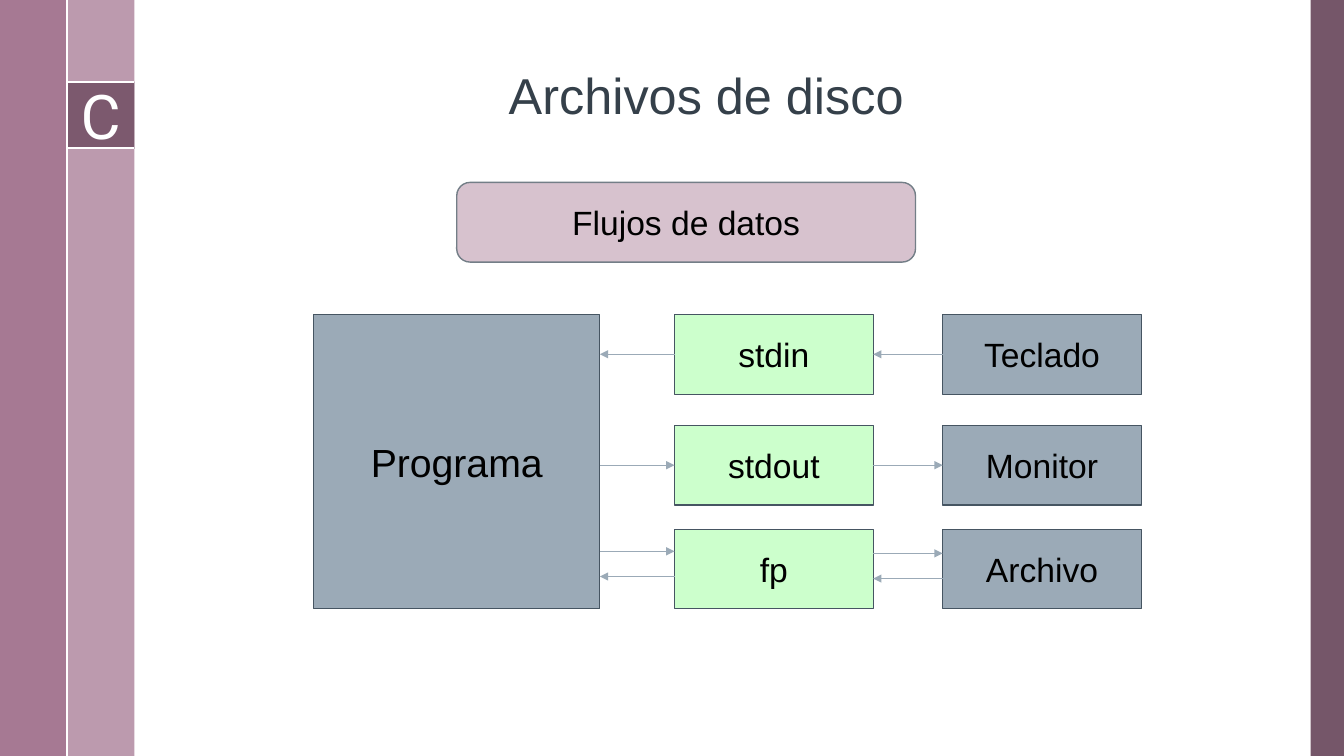
from lxml.etree import SubElement
from pptx import Presentation
from pptx.dml.color import RGBColor
from pptx.enum.shapes import MSO_CONNECTOR as Line, MSO_SHAPE as Preset
from pptx.enum.text import MSO_ANCHOR as Anchor, PP_ALIGN as Align
from pptx.oxml.ns import qn
from pptx.util import Inches, Pt


class Theme:
    black, white, title = "000000", "FFFFFF", "35404A"
    plum, mauve, rose = "674459", "9A6785", "BC9AAE"
    slate, slate_edge, mint = "9BAAB7", "465562", "CCFFCC"
    banner, banner_edge = "D7C2CE", "737E87"
    body_font, badge_font = "Arial", "Roboto"
    label_size, program_size, title_size, badge_size = 24, 28, 36, 44


deck = Presentation()
deck.slide_width, deck.slide_height = Inches(13.33), Inches(7.5)
page = deck.slides.add_slide(deck.slide_layouts[6])


def add_box(at, fill, text="", size=Theme.label_size, edge=None, edge_width=0.75,
            alpha=100, preset=Preset.RECTANGLE, font=Theme.body_font, color=Theme.black):
    """Add a filled shape with a centred label; alpha is its opacity in percent."""
    box = page.shapes.add_shape(preset, *map(Inches, at))
    box.shadow.inherit = False
    box.fill.solid()
    box.fill.fore_color.rgb = RGBColor.from_string(fill)
    if alpha < 100:
        tint = box.fill._xPr.find(qn("a:solidFill"))[0]
        SubElement(tint, qn("a:alpha"), val=str(alpha * 1000))
    if edge:
        box.line.color.rgb = RGBColor.from_string(edge)
        box.line.width = Pt(edge_width)
    else:
        box.line.fill.background()
    if text:
        box.text_frame.word_wrap = False
        box.text_frame.vertical_anchor = Anchor.MIDDLE
        para = box.text_frame.paragraphs[0]
        para.text, para.alignment = text, Align.CENTER
        para.font.name, para.font.size = font, Pt(size)
        para.font.color.rgb = RGBColor.from_string(color)
    return box


def add_line(start, end, color, width, arrow=False):
    line = page.shapes.add_connector(Line.STRAIGHT, *map(Inches, (*start, *end)))
    line.line.color.rgb = RGBColor.from_string(color)
    line.line.width = Pt(width)
    if arrow:
        SubElement(line.line._get_or_add_ln(), qn("a:tailEnd"), type="triangle")
    SubElement(line._element.spPr, qn("a:effectLst"))
    return line


# Side bars, one column wide, and the badge
column = 13.33 / 20
height = 7.5
badge_top, badge_bottom = 0.81, 1.47
add_box((13, 0, column / 2, height), Theme.plum, alpha=90)
add_box((column, 0, column, height), Theme.rose)
add_box((0, 0, column, height), Theme.mauve, alpha=88)
add_box((column, badge_top, column, column), Theme.plum, "C", Theme.badge_size,
        alpha=75, font=Theme.badge_font, color=Theme.white)
for y in (badge_top, badge_bottom):
    add_line((column, y), (2 * column, y), Theme.white, 1.5)
add_line((column, 0), (column, height), Theme.white, 1.5)

# Title and banner
title = page.shapes.add_textbox(*map(Inches, (2.69, -0.07, 8.63, 1.36)))
title.text_frame.word_wrap = True
title.text_frame.vertical_anchor = Anchor.BOTTOM
para = title.text_frame.paragraphs[0]
para.text, para.alignment, para.line_spacing = "Archivos de disco", Align.CENTER, 0.9
para.font.name, para.font.size = Theme.body_font, Pt(Theme.title_size)
para.font.color.rgb = RGBColor.from_string(Theme.title)
add_box((4.53, 1.81, 4.55, 0.79), Theme.banner, "Flujos de datos",
        edge=Theme.banner_edge, edge_width=1, preset=Preset.ROUNDED_RECTANGLE)

# Program, streams and devices
program_left, program_width = 3.11, 2.84
program_right = program_left + program_width
stream_left, device_left = 6.69, 9.35
box_width, box_height = 1.97, 0.79
stream_right = stream_left + box_width
row_tops = (3.12, 4.22, 5.25)
add_box((program_left, row_tops[0], program_width, row_tops[-1] + box_height - row_tops[0]),
        Theme.slate, "Programa", Theme.program_size, Theme.slate_edge)
streams, devices = [], []
for top, stream, device in zip(row_tops, ("stdin", "stdout", "fp"),
                               ("Teclado", "Monitor", "Archivo")):
    streams.append(add_box((stream_left, top, box_width, box_height),
                           Theme.mint, stream, edge=Theme.slate_edge))
    devices.append(add_box((device_left, top, box_width, box_height),
                           Theme.slate, device, edge=Theme.slate_edge))

# stdin flows left and stdout flows right, along the middle of their rows
for row, inward in enumerate((True, False)):
    y = row_tops[row] + box_height / 2
    stream, device = streams[row], devices[row]
    if inward:
        from_device = add_line((device_left, y), (stream_right, y), Theme.slate, 0.5, True)
        from_device.begin_connect(device, 1)
        from_device.end_connect(stream, 3)
        to_program = add_line((stream_left, y), (program_right, y), Theme.slate, 0.5, True)
        to_program.begin_connect(stream, 1)
    else:
        from_program = add_line((program_right, y), (stream_left, y), Theme.slate, 0.5, True)
        from_program.end_connect(stream, 1)
        to_device = add_line((stream_right, y), (device_left, y), Theme.slate, 0.5, True)
        to_device.begin_connect(stream, 3)
        to_device.end_connect(device, 1)

# fp flows both ways
for left, right, y in ((program_right, stream_left, 5.47), (stream_right, device_left, 5.49)):
    add_line((left, y), (right, y), Theme.slate, 0.5, True)
    add_line((right, y + 0.25), (left, y + 0.25), Theme.slate, 0.5, True)

deck.save("out.pptx")
